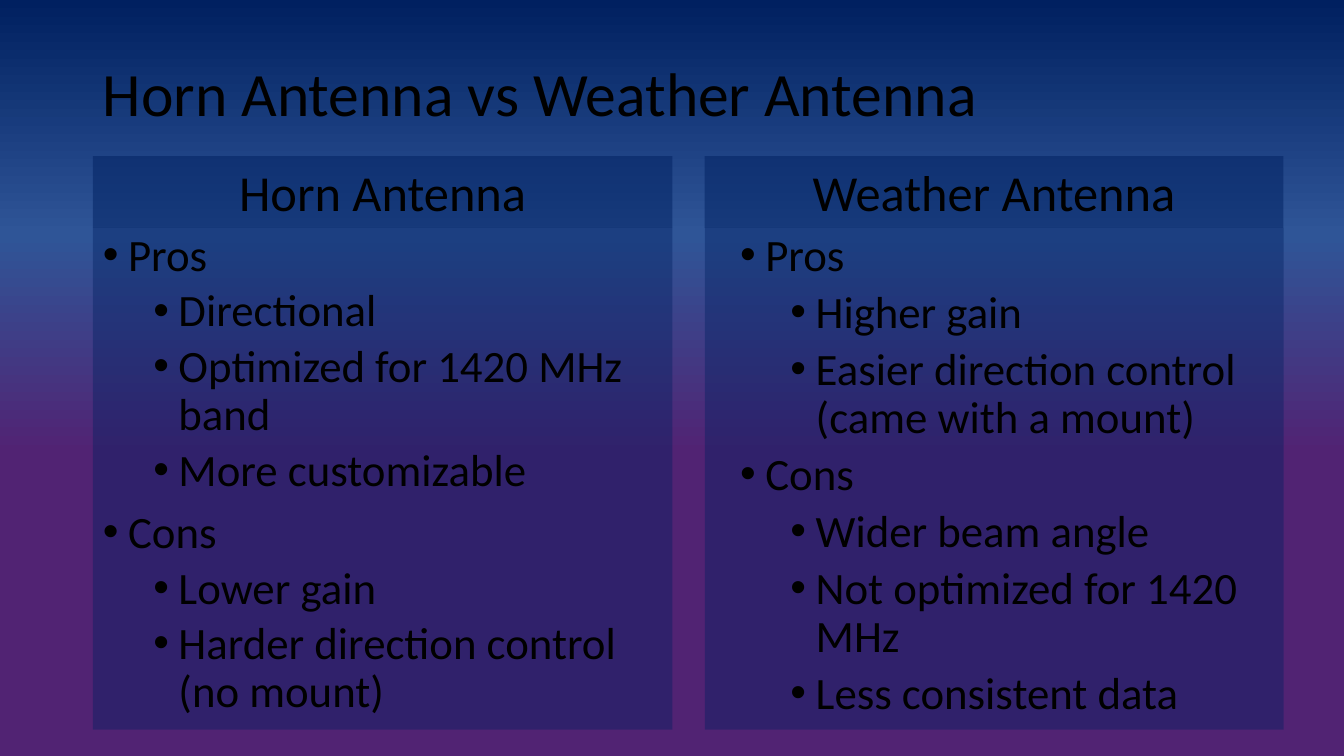
from copy import deepcopy
from dataclasses import dataclass

from lxml import etree
from pptx import Presentation, util as u
from pptx.dml.color import RGBColor
from pptx.enum import shapes, text
from pptx.oxml import ns

TITLE = "Horn Antenna vs Weather Antenna"
COLUMNS = [
    {
        "heading": "Horn Antenna",
        "left": 0.92, "width": 5.75, "indent": 0.25,
        "before": (10, 5), "after": 0,
        "items": {
            "Pros": ["Directional", "Optimized for 1420 MHz band", "More customizable"],
            "Cons": ["Lower gain", "Harder direction control (no mount)"],
        },
    },
    {
        "heading": "Weather Antenna",
        "left": 6.99, "width": 5.74, "indent": 0.5,
        "before": (0, 0), "after": 6,
        "items": {
            "Pros": ["Higher gain", "Easier direction control (came with a mount)"],
            "Cons": ["Wider beam angle", "Not optimized for 1420 MHz", "Less consistent data"],
        },
    },
]

SLIDE_WIDTH, SLIDE_HEIGHT = 13.33, 7.5
TITLE_BOX = (0.92, 0.4, 11.5, 1.11)
HEADING_TOP, HEADING_HEIGHT = 1.55, 0.71
LIST_HEIGHT = 4.98
HANGING, LEVEL_STEP = 0.25, 0.5


@dataclass(frozen=True)
class Theme:
    font: str = "Calibri"
    ink: str = "000000"
    panel: str = "002060"
    gradient: tuple = ((0, "002060"), (0.31, "2F5597"), (0.6, "512373"))
    heading_opacity: int = 50
    list_opacity: int = 40
    title_size: int = 44
    heading_size: int = 36
    list_size: int = 32
    line_spacing: float = 0.9


THEME = Theme()


def place(shape, left, top, width, height):
    shape.left, shape.top = u.Inches(left), u.Inches(top)
    shape.width, shape.height = u.Inches(width), u.Inches(height)


def style(paragraph, size):
    for run in paragraph.runs:
        run.font.name = THEME.font
        run.font.size = u.Pt(size)
        run.font.color.rgb = RGBColor.from_string(THEME.ink)


def fill_panel(shape, opacity):
    shape.fill.solid()
    shape.fill.fore_color.rgb = RGBColor.from_string(THEME.panel)
    color = next(shape.element.spPr.iter(ns.qn("a:srgbClr")))
    etree.SubElement(color, ns.qn("a:alpha"), val=str(opacity * 1000))


def paint_background(slide):
    fill = slide.background.fill
    fill.gradient()
    fill.gradient_angle = 270
    stops = next(slide.element.iter(ns.qn("a:gsLst")))
    stops.append(deepcopy(stops[-1]))
    for stop, (position, color) in zip(fill.gradient_stops, THEME.gradient):
        stop.position = position
        stop.color.rgb = RGBColor.from_string(color)


def add_bullet(paragraph, margin):
    properties = paragraph._p.get_or_add_pPr()
    properties.set("marL", str(u.Inches(margin)))
    properties.set("indent", str(-u.Inches(HANGING)))
    etree.SubElement(properties, ns.qn("a:buFont"), typeface="Arial")
    etree.SubElement(properties, ns.qn("a:buChar"), char="•")


def write_title(shape):
    place(shape, *TITLE_BOX)
    frame = shape.text_frame
    frame.text = TITLE
    frame.auto_size = text.MSO_AUTO_SIZE.NONE
    frame.vertical_anchor = text.MSO_ANCHOR.MIDDLE
    paragraph = frame.paragraphs[0]
    paragraph.alignment = text.PP_ALIGN.LEFT
    paragraph.line_spacing = THEME.line_spacing
    style(paragraph, THEME.title_size)


def add_heading(slide, column):
    box = (column["left"], HEADING_TOP, column["width"], HEADING_HEIGHT)
    shape = slide.shapes.add_shape(shapes.MSO_SHAPE.RECTANGLE, *map(u.Inches, box))
    shape.shadow.inherit = False
    shape.line.fill.background()
    fill_panel(shape, THEME.heading_opacity)
    frame = shape.text_frame
    frame.text = column["heading"]
    frame.word_wrap = True
    frame.auto_size = text.MSO_AUTO_SIZE.SHAPE_TO_FIT_TEXT
    frame.vertical_anchor = text.MSO_ANCHOR.TOP
    frame.paragraphs[0].alignment = text.PP_ALIGN.CENTER
    style(frame.paragraphs[0], THEME.heading_size)


def write_list(shape, column):
    place(shape, column["left"], HEADING_TOP + HEADING_HEIGHT, column["width"], LIST_HEIGHT)
    fill_panel(shape, THEME.list_opacity)
    entries = [
        entry
        for group, points in column["items"].items()
        for entry in [(0, group), *((1, point) for point in points)]
    ]
    frame = shape.text_frame
    frame.text = "\n".join(wording for _, wording in entries)
    frame.auto_size = text.MSO_AUTO_SIZE.NONE
    frame.vertical_anchor = text.MSO_ANCHOR.TOP
    for index, (paragraph, (level, _)) in enumerate(zip(frame.paragraphs, entries)):
        add_bullet(paragraph, column["indent"] + level * LEVEL_STEP)
        paragraph.level = level
        paragraph.line_spacing = THEME.line_spacing
        paragraph.space_before = u.Pt(column["before"][level] if index else 0)
        paragraph.space_after = u.Pt(column["after"])
        style(paragraph, THEME.list_size)


def main():
    presentation = Presentation()
    presentation.slide_width = u.Inches(SLIDE_WIDTH)
    presentation.slide_height = u.Inches(SLIDE_HEIGHT)
    slide = presentation.slides.add_slide(presentation.slide_layouts.get_by_name("Two Content"))
    paint_background(slide)
    write_title(slide.shapes.title)
    for index, column in enumerate(COLUMNS, start=1):
        write_list(slide.placeholders[index], column)
        add_heading(slide, column)
    presentation.save("out.pptx")


if __name__ == "__main__":
    main()
